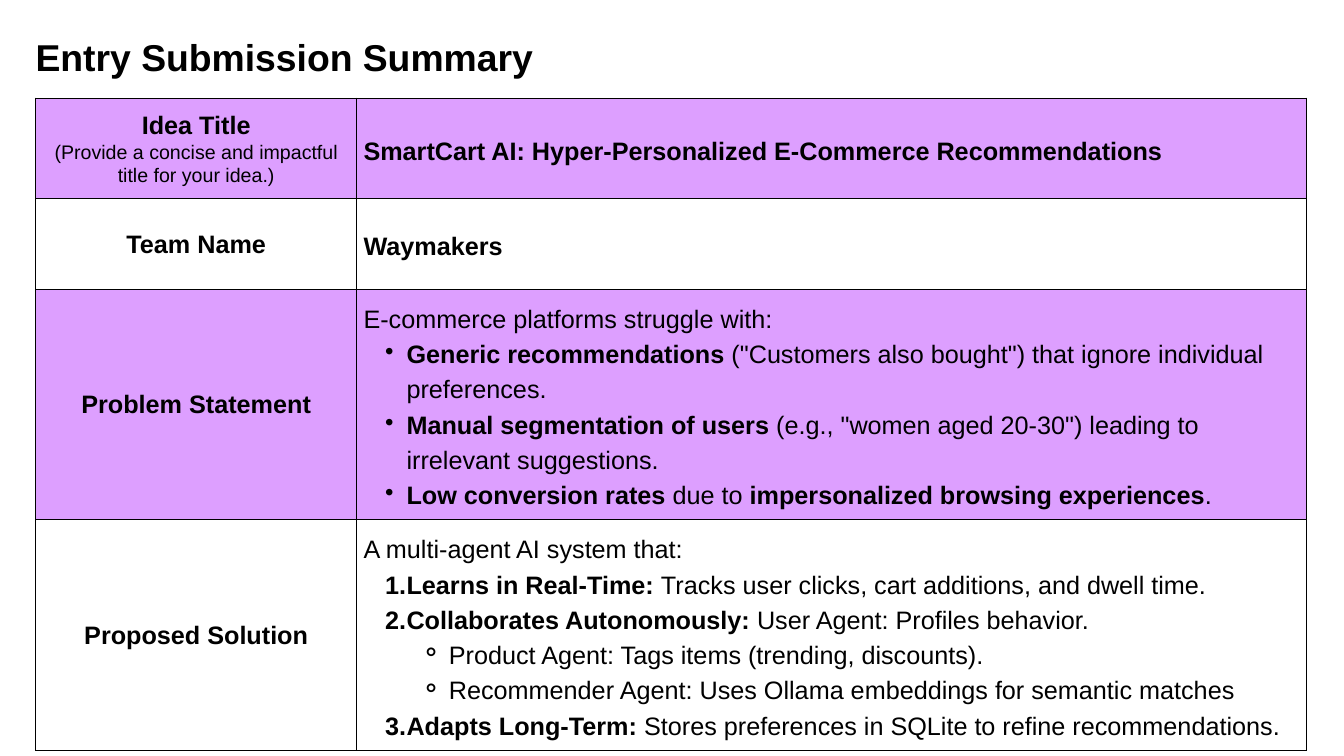
from lxml import etree
from pptx import Presentation
from pptx import util as u
from pptx.dml.color import RGBColor
from pptx.enum import text
from pptx.oxml import ns

BLACK = RGBColor(0x00, 0x00, 0x00)
WHITE = RGBColor(0xFF, 0xFF, 0xFF)
LILAC = RGBColor(0xDD, 0x9F, 0xFF)
FONT = "Arial"

SLIDE_WIDTH, SLIDE_HEIGHT = u.Inches(20), u.Inches(11.25)
MARGIN = u.Inches(0.53)
TITLE_TOP, TABLE_TOP = u.Inches(0.64), u.Inches(1.46)
COLUMN_WIDTHS = [u.Inches(width) for width in (4.78, 14.13)]
ROW_HEIGHTS = [u.Inches(height) for height in (1.49, 1.35, 3.43, 3.43)]
CELL_INSET = u.Inches(0.1)

HEADING = {"size": 27, "spacing": 32.4, "align": text.PP_ALIGN.CENTER}
HINT = {"size": 21, "spacing": 25.2, "align": text.PP_ALIGN.CENTER}
BODY = {"size": 27, "spacing": 37.8, "align": text.PP_ALIGN.LEFT}
BULLET = BODY | {"indent": (0.64, -0.32), "level": 1, "marker": ("buChar", "char", "•")}
NUMBER = BULLET | {"marker": ("buAutoNum", "type", "arabicPeriod")}
CIRCLE = BODY | {"indent": (1.27, -0.42), "level": 2, "marker": ("buChar", "char", "⚬")}

ROWS = [
    (
        [
            (HEADING, "**Idea Title**"),
            (HINT, "(Provide a concise and impactful title for your idea.)"),
        ],
        [(BODY, "**SmartCart AI: Hyper-Personalized E-Commerce Recommendations**")],
    ),
    (
        [(HEADING, "**Team Name**")],
        [(BODY, "**Waymakers**")],
    ),
    (
        [(HEADING, "**Problem Statement**")],
        [
            (BODY, "E-commerce platforms struggle with:"),
            (BULLET, '**Generic recommendations **("Customers also bought") that ignore individual preferences.'),
            (BULLET, '**Manual segmentation of users **(e.g., "women aged 20-30") leading to irrelevant suggestions.'),
            (BULLET, "**Low conversion rates** due to **impersonalized browsing experiences**."),
        ],
    ),
    (
        [(HEADING, "**Proposed Solution**")],
        [
            (BODY, "A multi-agent AI system that:"),
            (NUMBER, "**Learns in Real-Time: **Tracks user clicks, cart additions, and dwell time."),
            (NUMBER, "**Collaborates Autonomously: **User Agent: Profiles behavior."),
            (CIRCLE, "Product Agent: Tags items (trending, discounts)."),
            (CIRCLE, "Recommender Agent: Uses Ollama embeddings for semantic matches"),
            (NUMBER, "**Adapts Long-Term: **Stores preferences in SQLite to refine recommendations."),
        ],
    ),
]


def add_marker(paragraph, style):
    tag, attribute, value = style["marker"]
    left, hanging = style["indent"]
    paragraph.level = style["level"]
    properties = paragraph._p.get_or_add_pPr()
    properties.set("marL", str(u.Inches(left)))
    properties.set("indent", str(u.Inches(hanging)))
    etree.SubElement(properties, ns.qn(f"a:{tag}")).set(attribute, value)


def write_paragraph(paragraph, style, content):
    paragraph.alignment = style["align"]
    paragraph.line_spacing = u.Pt(style["spacing"])
    paragraph.space_before = paragraph.space_after = u.Pt(0)
    if "marker" in style:
        add_marker(paragraph, style)
    paragraph.font.name = FONT
    paragraph.font.size = u.Pt(style["size"])
    paragraph.font.color.rgb = BLACK
    for index, part in enumerate(content.split("**")):
        if part:
            run = paragraph.add_run()
            run.text = part
            run.font.bold = index % 2 == 1


def add_borders(cell):
    properties = cell._tc.get_or_add_tcPr()
    for index, side in enumerate(("lnL", "lnR", "lnT", "lnB")):
        line = etree.Element(ns.qn(f"a:{side}"), w=str(u.Pt(1)))
        fill = etree.SubElement(line, ns.qn("a:solidFill"))
        etree.SubElement(fill, ns.qn("a:srgbClr"), val=str(BLACK))
        properties.insert(index, line)


def fill_cell(cell, color, paragraphs):
    cell.fill.solid()
    cell.fill.fore_color.rgb = color
    add_borders(cell)
    cell.vertical_anchor = text.MSO_ANCHOR.MIDDLE
    cell.margin_left = cell.margin_right = CELL_INSET
    cell.margin_top = cell.margin_bottom = CELL_INSET
    frame = cell.text_frame
    for index, (style, content) in enumerate(paragraphs):
        paragraph = frame.add_paragraph() if index else frame.paragraphs[0]
        write_paragraph(paragraph, style, content)


def set_title(slide, content):
    title = slide.shapes.title
    title.left, title.top = MARGIN, TITLE_TOP
    title.width, title.height = sum(COLUMN_WIDTHS), TABLE_TOP - TITLE_TOP
    frame = title.text_frame
    frame.auto_size = text.MSO_AUTO_SIZE.NONE
    frame.vertical_anchor = text.MSO_ANCHOR.TOP
    frame.margin_left = frame.margin_right = 0
    frame.margin_top = frame.margin_bottom = 0
    style = {"size": 40, "spacing": 38.4, "align": text.PP_ALIGN.LEFT}
    write_paragraph(frame.paragraphs[0], style, f"**{content}**")


def add_summary_table(slide):
    table = slide.shapes.add_table(
        len(ROW_HEIGHTS), len(COLUMN_WIDTHS), MARGIN, TABLE_TOP,
        sum(COLUMN_WIDTHS), sum(ROW_HEIGHTS),
    ).table
    table.first_row = table.horz_banding = False
    for column, width in zip(table.columns, COLUMN_WIDTHS):
        column.width = width
    for index, (row, height) in enumerate(zip(table.rows, ROW_HEIGHTS)):
        row.height = height
        color = WHITE if index % 2 else LILAC
        for cell, paragraphs in zip(row.cells, ROWS[index]):
            fill_cell(cell, color, paragraphs)


def main():
    presentation = Presentation()
    presentation.slide_width, presentation.slide_height = SLIDE_WIDTH, SLIDE_HEIGHT
    slide = presentation.slides.add_slide(presentation.slide_layouts[5])
    set_title(slide, "Entry Submission Summary")
    add_summary_table(slide)
    presentation.save("out.pptx")


if __name__ == "__main__":
    main()
